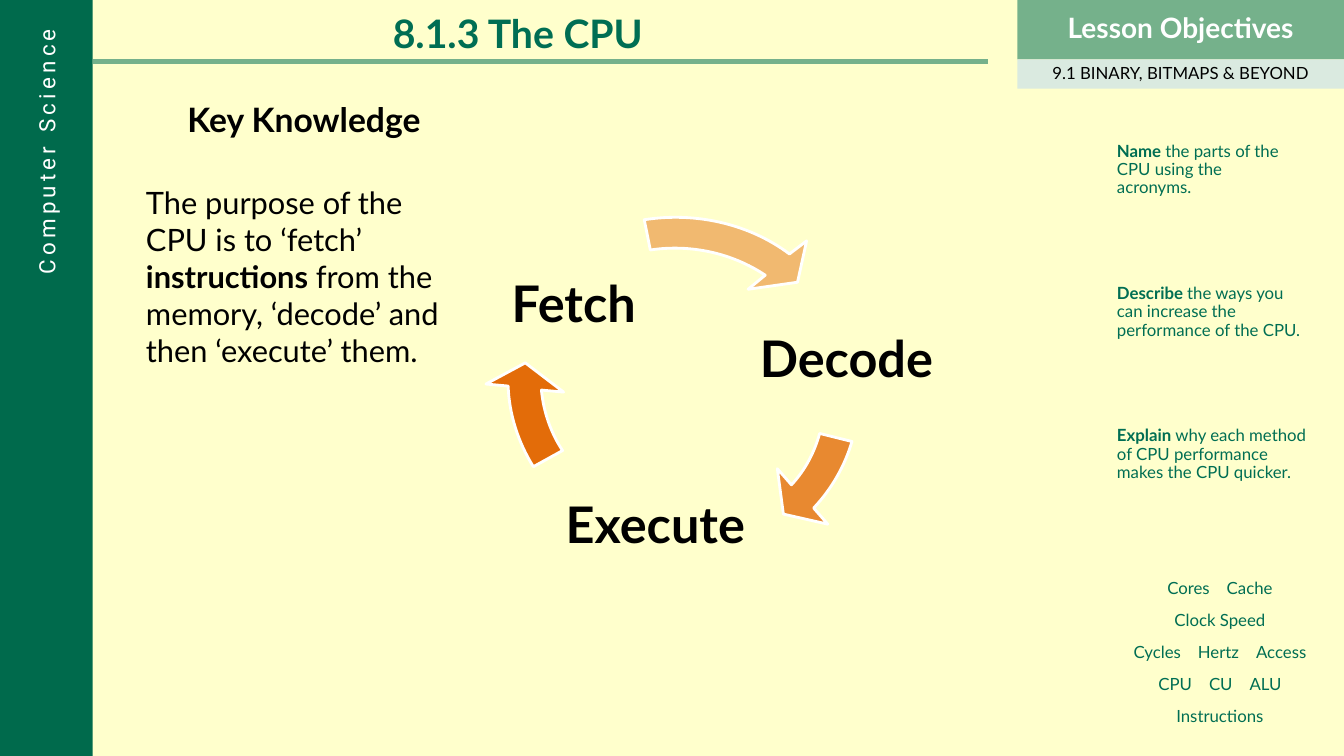
from pptx import Presentation
from pptx.dml.color import RGBColor
from pptx.enum.shapes import MSO_CONNECTOR, MSO_SHAPE
from pptx.enum.text import MSO_ANCHOR, PP_ALIGN
from pptx.util import Inches, Pt
from lxml import etree

A = "{http://schemas.openxmlformats.org/drawingml/2006/main}"
W, H = 13.33, 7.5
SIDE = 0.92   # width of the left band
PANEL = 10.09  # left edge of the objectives panel
C = {"cream": "FFFFCC", "deep": "006A4C", "ink": "006E53", "sage": "75B18B",
     "mist": "DAEAE0", "orange": "E36C09", "white": "FFFFFF", "black": "000000"}
rgb = {name: RGBColor.from_string(value) for name, value in C.items()}


def write(sp, paras, size, color, align=PP_ALIGN.LEFT, anchor=MSO_ANCHOR.TOP,
          inset=(0.1, 0.05), leading=0.9, font="Lato"):
    """Fill a shape with paragraphs, each a list of (text, bold, spacing in points)."""
    tf = sp.text_frame
    tf.word_wrap, tf.vertical_anchor = True, anchor
    tf.margin_left = tf.margin_right = Inches(inset[0])
    tf.margin_top = tf.margin_bottom = Inches(inset[1])
    for i, runs in enumerate(paras):
        p = tf.add_paragraph() if i else tf.paragraphs[0]
        p.alignment, p.line_spacing = align, leading
        p.space_before = Pt(10 if i else 0)
        for text, bold, spacing in runs:
            r = p.add_run()
            r.text = text
            for key, value in {"name": font, "size": Pt(size), "bold": bold}.items():
                setattr(r.font, key, value)
            r.font.color.rgb = rgb[color]
            if spacing:
                r.font._element.set("spc", str(spacing * 100))


def box(x, y, w, h, fill=None):
    """Add a text box, or a filled rectangle when a fill is named."""
    at = [Inches(v) for v in (x, y, w, h)]
    if not fill:
        return s.shapes.add_textbox(*at)
    sp = s.shapes.add_shape(MSO_SHAPE.RECTANGLE, *at)
    sp.shadow.inherit = False
    sp.fill.solid()
    sp.fill.fore_color.rgb = rgb[fill]
    sp.line.fill.background()
    return sp


prs = Presentation()
prs.slide_width, prs.slide_height = Inches(W), Inches(H)
s = prs.slides.add_slide(prs.slide_layouts[5])
s.background.fill.solid()
s.background.fill.fore_color.rgb = rgb["cream"]
mid = {"align": PP_ALIGN.CENTER, "anchor": MSO_ANCHOR.MIDDLE}

# Title and its rule
title = s.shapes.title
title.left, title.top, title.width, title.height = [Inches(v) for v in (0.47, 0.09, 9.33, 0.53)]
write(title, [[("8.1.3 The CPU", True, 0)]], 28, "ink", PP_ALIGN.CENTER)
rule = s.shapes.add_connector(MSO_CONNECTOR.STRAIGHT, Inches(SIDE), Inches(0.61),
                              Inches(9.8), Inches(0.61))
rule.line.color.rgb, rule.line.width = rgb["sage"], Pt(3)
etree.SubElement(rule._element.spPr, A + "effectLst")

# Subject band on the left
band = box(0, 0, SIDE, H, "deep")
write(band, [[("Computer Science", False, 3)]], 16, "white", PP_ALIGN.RIGHT,
      MSO_ANCHOR.MIDDLE, inset=(0.05, 0.29), leading=1.0, font="Roboto")
band.text_frame._txBody.bodyPr.set("vert", "vert270")

# Objectives header
write(box(PANEL, 0, W - PANEL, 0.59, "sage"), [[("Lesson Objectives", True, 0)]],
      20, "white", **mid)
write(box(PANEL, 0.59, W - PANEL, 0.29, "mist"),
      [[("9.1 BINARY, BITMAPS & BEYOND", False, 0)]], 12, "black", **mid)

# Key knowledge
write(box(1.76, 0.98, 3.02, 0.6), [[("Key Knowledge", True, 0)]], 24, "black")
write(box(1.35, 1.72, 3.26, 2.03),
      [[("The purpose of the CPU is to ‘fetch’ ", False, 0), ("instructions", True, 0),
        (" from the memory, ‘decode’ and then ‘execute’ them.", False, 0)]],
      22, "black", inset=(0.1, 0.1), leading=1.0)

# Cycle arrows: opacity in percent, frame corner,
# then points (x, y) or curves (two controls and an end)
FRAME = (4.02, 3.69)
arrows = [
    (80, (4.71, 2.12),
     [(8.45, 4.38), (8.38, 4.62, 8.25, 4.85, 8.07, 5.04), (8.21, 5.2), (7.77, 5.1),
      (7.71, 4.65), (7.85, 4.81), (7.99, 4.66, 8.08, 4.48, 8.13, 4.3)]),
    (100, (4.81, 1.93),
     [(5.29, 4.63), (5.14, 4.39, 5.05, 4.11, 5.04, 3.83), (4.82, 3.81), (5.21, 3.6),
      (5.59, 3.89), (5.37, 3.87), (5.39, 4.08, 5.46, 4.29, 5.58, 4.47)]),
    (47, (4.7, 1.95),
     [(6.39, 2.18), (6.9, 2.1, 7.43, 2.22, 7.83, 2.52), (8, 2.39), (7.91, 2.8),
      (7.42, 2.87), (7.59, 2.73), (7.26, 2.51, 6.85, 2.42, 6.45, 2.48)]),
]
for opacity, corner, outline in arrows:
    ends = [(Inches(piece[-2]), Inches(piece[-1])) for piece in outline]
    fb = s.shapes.build_freeform(*ends[0])
    fb.add_line_segments(ends[1:], close=True)
    sp = fb.convert_to_shape()
    sp.left, sp.top, sp.width, sp.height = [Inches(v) for v in corner + FRAME]
    # Redraw the outline inside its frame, with true curves
    path = sp._element.find(f".//{A}path")
    path.clear()
    path.set("w", str(sp.width))
    path.set("h", str(sp.height))
    for i, piece in enumerate(outline):
        tag = "moveTo" if i == 0 else "lnTo" if len(piece) == 2 else "cubicBezTo"
        step = etree.SubElement(path, A + tag)
        for x, y in zip(piece[::2], piece[1::2]):
            pt = etree.SubElement(step, A + "pt")
            pt.set("x", str(Inches(x) - sp.left))
            pt.set("y", str(Inches(y) - sp.top))
    etree.SubElement(path, A + "close")
    sp.shadow.inherit = False
    sp.fill.solid()
    sp.fill.fore_color.rgb = rgb["orange"]
    sp.line.color.rgb, sp.line.width = rgb["white"], Pt(2)
    if opacity < 100:
        clr = sp._element.spPr.find(f"{A}solidFill/{A}srgbClr")
        etree.SubElement(clr, A + "alpha").set("val", str(opacity * 1000))

# Cycle stages
for stage, *at in [("Fetch", 4.73, 2.26, 1.92, 1.56), ("Decode", 7.13, 2.8, 2.53, 1.56),
                   ("Execute", 5.21, 4.42, 2.58, 1.62)]:
    write(box(*at), [[(stage, True, 0)]], 36, "black", inset=(0.07, 0.07), **mid)

# Objectives
objectives = [("Name ", "the parts of the CPU using the acronyms.", 1.96),
              ("Describe ", "the ways you can increase the performance of the CPU.", 2.13),
              ("Explain ", "why each method of CPU performance makes the CPU quicker.", 2.13)]
for i, (verb, rest, w) in enumerate(objectives):
    write(box(10.98, 1.18 + 1.41 * i, w, 1.02), [[(verb, True, 0), (rest, False, 0)]],
          12, "ink", anchor=MSO_ANCHOR.MIDDLE)

# Key words, with a widened space between neighbours
keywords = [["Cores", "Cache"], ["Clock Speed"], ["Cycles", "Hertz", "Access"],
            ["CPU", "CU", "ALU"], ["Instructions"]]
lines = []
for words in keywords:
    runs = [(words[0], False, 0)]
    for word in words[1:]:
        runs += [(" ", False, 9), (word, False, 0)]
    lines.append(runs)
write(box(10.87, 5.7, W - 10.87, 1.67), lines, 12, "ink", PP_ALIGN.CENTER)

prs.save("out.pptx")
